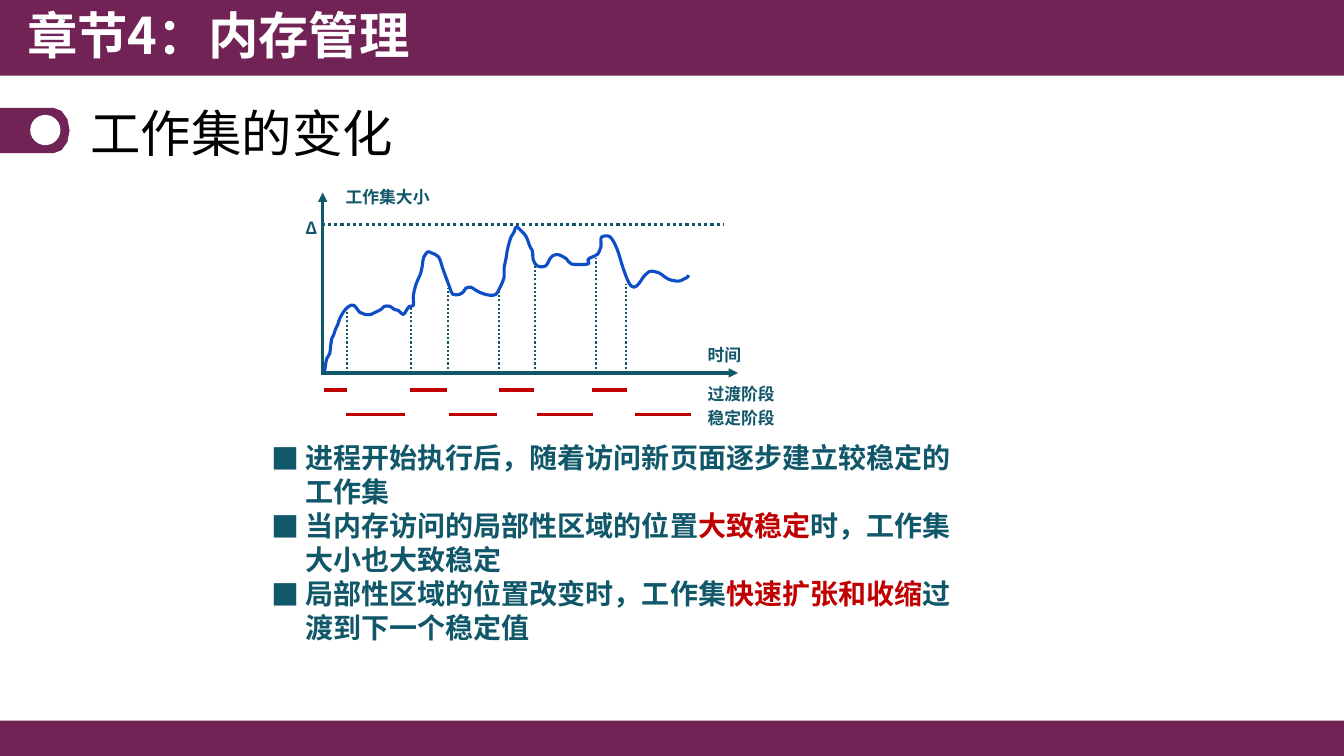
"""Build the working-set slide: a size-over-time sketch and three findings."""
import math

from lxml import etree
from pptx import Presentation
from pptx.dml.color import RGBColor
from pptx.enum.dml import MSO_LINE
from pptx.enum.shapes import MSO_CONNECTOR, MSO_SHAPE
from pptx.oxml.ns import qn
from pptx.util import Inches, Pt

PLUM = RGBColor(0x71, 0x23, 0x55)
TEAL = RGBColor(0x11, 0x57, 0x6A)
RED = RGBColor(0xC0, 0x00, 0x00)
BLUE = RGBColor(0x0E, 0x4D, 0xC8)
WHITE = RGBColor(0xFF, 0xFF, 0xFF)
BLACK = RGBColor(0x00, 0x00, 0x00)
RECTANGLE, OVAL = MSO_SHAPE.RECTANGLE, MSO_SHAPE.OVAL
STRAIGHT = MSO_CONNECTOR.STRAIGHT
DOTTED = MSO_LINE.ROUND_DOT
FONT, BULLET_FONT = "Noto Sans CJK SC", "Noto Sans CJK JP"
LINE_HEIGHT, TOP_RISE, INSET = 1.22, 0.03, 0.05

WIDTH, HEIGHT = 13.33, 7.5
BARS = [(0, 7.15, WIDTH, 0.36), (-0.03, 0, 13.36, 0.75)]
TAB = {"top": 1.07, "height": 0.45, "straight": 0.53, "bulge": 0.16}
TAB_HOLE = (0.3, 1.14, 0.3, 0.3)

HEADINGS = [
    ("章节4：内存管理", (0.17, 0, 6.67, 0.77), {"size": Pt(36), "bold": True}, WHITE),
    ("工作集的变化", (0.8, 0.97, 11.53, 0.71), {"size": Pt(36), "bold": False}, BLACK),
]
LABELS = [
    ("Δ", (2.93, 2.11, 0.31, 0.3)),
    ("工作集大小", (3.33, 1.8, 1.17, 0.3)),
    ("时间", (6.92, 3.37, 0.55, 0.3)),
    ("过渡阶段", (6.92, 3.76, 0.94, 0.3)),
    ("稳定阶段", (6.92, 4, 0.94, 0.3)),
]
LABEL_FORMAT = {"size": Pt(12), "bold": True}
FINDINGS = [
    [("进程开始执行后，随着访问新页面逐步建立较稳定的工作集", TEAL)],
    [("当内存访问的局部性区域的位置", TEAL), ("大致稳定", RED),
     ("时，工作集大小也大致稳定", TEAL)],
    [("局部性区域的位置改变时，工作集", TEAL), ("快速扩张和收缩", RED),
     ("过渡到下一个稳定值", TEAL)],
]
FINDINGS_LEFT, FINDINGS_TOP, FINDINGS_PITCH = 2.59, 4.32, 0.675
FINDING_WIDTH, FINDING_HEIGHT = 7.19, 0.77
FINDING_FORMAT = {"size": Pt(20), "bold": True}

AXIS_Y, LIMIT_Y = 3.7, 2.23
AXES = [((3.18, AXIS_Y), (7.32, AXIS_Y)), ((3.2, AXIS_Y), (3.2, 1.91))]
DROPS = [(3.44, 3.09), (4.08, 3.06), (4.44, 2.86), (4.95, 2.9),
         (5.31, 2.64), (5.91, 2.56), (6.21, 2.82)]
PHASES = {
    3.87: [(3.21, 3.44), (4.07, 4.43), (4.95, 5.3), (5.87, 6.22)],
    4.11: [(3.43, 4.02), (4.45, 4.93), (5.33, 5.88), (6.3, 6.85)],
}
WORKING_SET = [
    (3.22, 3.68), (3.24, 3.56), (3.27, 3.51), (3.28, 3.43), (3.29, 3.36),
    (3.31, 3.32), (3.33, 3.26), (3.35, 3.22), (3.37, 3.16), (3.41, 3.09),
    (3.46, 3.04), (3.51, 3.03), (3.57, 3.1), (3.62, 3.12), (3.68, 3.12),
    (3.72, 3.1), (3.78, 3.07), (3.81, 3.04), (3.87, 3.04), (3.91, 3.07),
    (3.95, 3.08), (4, 3.12), (4.03, 3.08), (4.06, 3.04), (4.1, 3.03),
    (4.1, 2.93), (4.13, 2.81), (4.17, 2.72), (4.19, 2.63), (4.2, 2.56),
    (4.24, 2.5), (4.28, 2.51), (4.35, 2.55), (4.39, 2.66), (4.43, 2.77),
    (4.46, 2.85), (4.49, 2.92), (4.56, 2.92), (4.6, 2.89), (4.62, 2.86),
    (4.67, 2.85), (4.72, 2.88), (4.78, 2.91), (4.86, 2.93), (4.92, 2.92),
    (4.95, 2.87), (4.97, 2.83), (5, 2.75), (5, 2.66), (5.02, 2.56),
    (5.03, 2.49), (5.05, 2.41), (5.07, 2.35), (5.1, 2.3), (5.12, 2.25),
    (5.17, 2.29), (5.22, 2.35), (5.25, 2.43), (5.28, 2.49), (5.29, 2.58),
    (5.33, 2.64), (5.41, 2.64), (5.46, 2.56), (5.5, 2.53), (5.55, 2.53),
    (5.62, 2.57), (5.67, 2.62), (5.83, 2.62), (5.83, 2.58), (5.85, 2.56),
    (5.9, 2.54), (5.93, 2.52), (5.96, 2.45), (5.96, 2.39), (5.97, 2.35),
    (6.05, 2.35), (6.12, 2.47), (6.18, 2.66), (6.24, 2.81), (6.29, 2.85),
    (6.34, 2.81), (6.38, 2.75), (6.42, 2.71), (6.46, 2.69), (6.54, 2.71),
    (6.63, 2.77), (6.73, 2.79), (6.78, 2.77), (6.82, 2.75), (6.83, 2.73),
]


def add_outline(shapes, points, closed):
    corners = [(Inches(x), Inches(y)) for x, y in points]
    builder = shapes.build_freeform(*corners[0])
    builder.add_line_segments(corners[1:], close=closed)
    outline = builder.convert_to_shape()
    outline.shadow.inherit = False
    return outline


def round_corners(outline):
    knots = [(int(knot.get("x")), int(knot.get("y")))
             for knot in outline._element.iter(qn("a:pt"))]
    padded = [knots[0], *knots, knots[-1]]
    segments = list(outline._element.iter(qn("a:lnTo")))
    for segment, before, start, end, after in zip(
            segments, padded, padded[1:], padded[2:], padded[3:]):
        leaving = [b + (c - a) / 6 for a, b, c in zip(before, start, end)]
        arriving = [c - (d - b) / 6 for b, c, d in zip(start, end, after)]
        segment.tag = qn("a:cubicBezTo")
        for place, (x, y) in enumerate((leaving, arriving)):
            handle = etree.Element(qn("a:pt"), x=str(round(x)), y=str(round(y)))
            segment.insert(place, handle)


def paint(shape, color):
    shape.shadow.inherit = False
    shape.fill.solid()
    shape.fill.fore_color.rgb = color
    shape.line.fill.background()


def add_block(shapes, kind, box, color):
    paint(shapes.add_shape(kind, *map(Inches, box)), color)


def add_stroke(shapes, start, end, color, width=2.25, dash=None, arrow=False):
    stroke = shapes.add_connector(STRAIGHT, *map(Inches, (*start, *end)))
    stroke.line.color.rgb = color
    stroke.line.width = Pt(width)
    if dash:
        stroke.line.dash_style = dash
    if arrow:
        etree.SubElement(stroke.line._get_or_add_ln(), qn("a:tailEnd"), type="triangle")
    etree.SubElement(stroke._element.spPr, qn("a:effectLst"))


def add_text(shapes, box, pieces, formats, bullet=False, wrap=True):
    frame = shapes.add_textbox(*map(Inches, box)).text_frame
    frame.word_wrap = wrap
    frame.margin_top = Inches(INSET) - int(formats["size"] * TOP_RISE)
    paragraph = frame.paragraphs[0]
    if bullet:
        props = paragraph._p.get_or_add_pPr()
        props.set("marL", str(Inches(0.34)))
        props.set("indent", str(Inches(-0.34)))
        etree.SubElement(props, qn("a:buFont"), typeface=BULLET_FONT)
        etree.SubElement(props, qn("a:buChar"), char="■")
    paragraph.line_spacing = Pt(formats["size"].pt * LINE_HEIGHT)
    for words, color in pieces:
        run = paragraph.add_run()
        run.text = words
        for name, value in {**formats, "name": FONT}.items():
            setattr(run.font, name, value)
        run.font.color.rgb = color
        etree.SubElement(run._r.get_or_add_rPr(), qn("a:ea"), typeface=FONT)


def add_tab(shapes):
    radius = TAB["height"] / 2
    angles = [math.radians(degrees) for degrees in range(-90, 91, 30)]
    arc = [(TAB["straight"] + TAB["bulge"] * math.cos(angle),
            TAB["top"] + radius * (1 + math.sin(angle))) for angle in angles]
    ends = [(0, TAB["top"] + TAB["height"]), (0, TAB["top"])]
    paint(add_outline(shapes, arc + ends, True), PLUM)
    add_block(shapes, OVAL, TAB_HOLE, WHITE)


def add_sketch(shapes):
    for start, end in AXES:
        add_stroke(shapes, start, end, TEAL, arrow=True)
    add_stroke(shapes, (3.19, LIMIT_Y), (7.18, LIMIT_Y), TEAL, dash=DOTTED)
    curve = add_outline(shapes, WORKING_SET, False)
    round_corners(curve)
    curve.fill.background()
    curve.line.color.rgb = BLUE
    curve.line.width = Pt(2.25)
    for x, top in DROPS:
        add_stroke(shapes, (x, AXIS_Y), (x, top), TEAL, 1.5, DOTTED)
    for y, spans in PHASES.items():
        for left, right in spans:
            add_stroke(shapes, (left, y), (right, y), RED)
    for words, box in LABELS:
        add_text(shapes, box, [(words, TEAL)], LABEL_FORMAT, wrap=len(words) > 1)


def main():
    deck = Presentation()
    deck.slide_width, deck.slide_height = Inches(WIDTH), Inches(HEIGHT)
    shapes = deck.slides.add_slide(deck.slide_layouts[6]).shapes
    for box in BARS:
        add_block(shapes, RECTANGLE, box, PLUM)
    add_tab(shapes)
    for row, pieces in enumerate(FINDINGS):
        top = FINDINGS_TOP + row * FINDINGS_PITCH
        box = (FINDINGS_LEFT, top, FINDING_WIDTH, FINDING_HEIGHT)
        add_text(shapes, box, pieces, FINDING_FORMAT, bullet=True)
    add_sketch(shapes)
    for words, box, formats, color in HEADINGS:
        add_text(shapes, box, [(words, color)], formats)
    deck.save("out.pptx")


if __name__ == "__main__":
    main()
